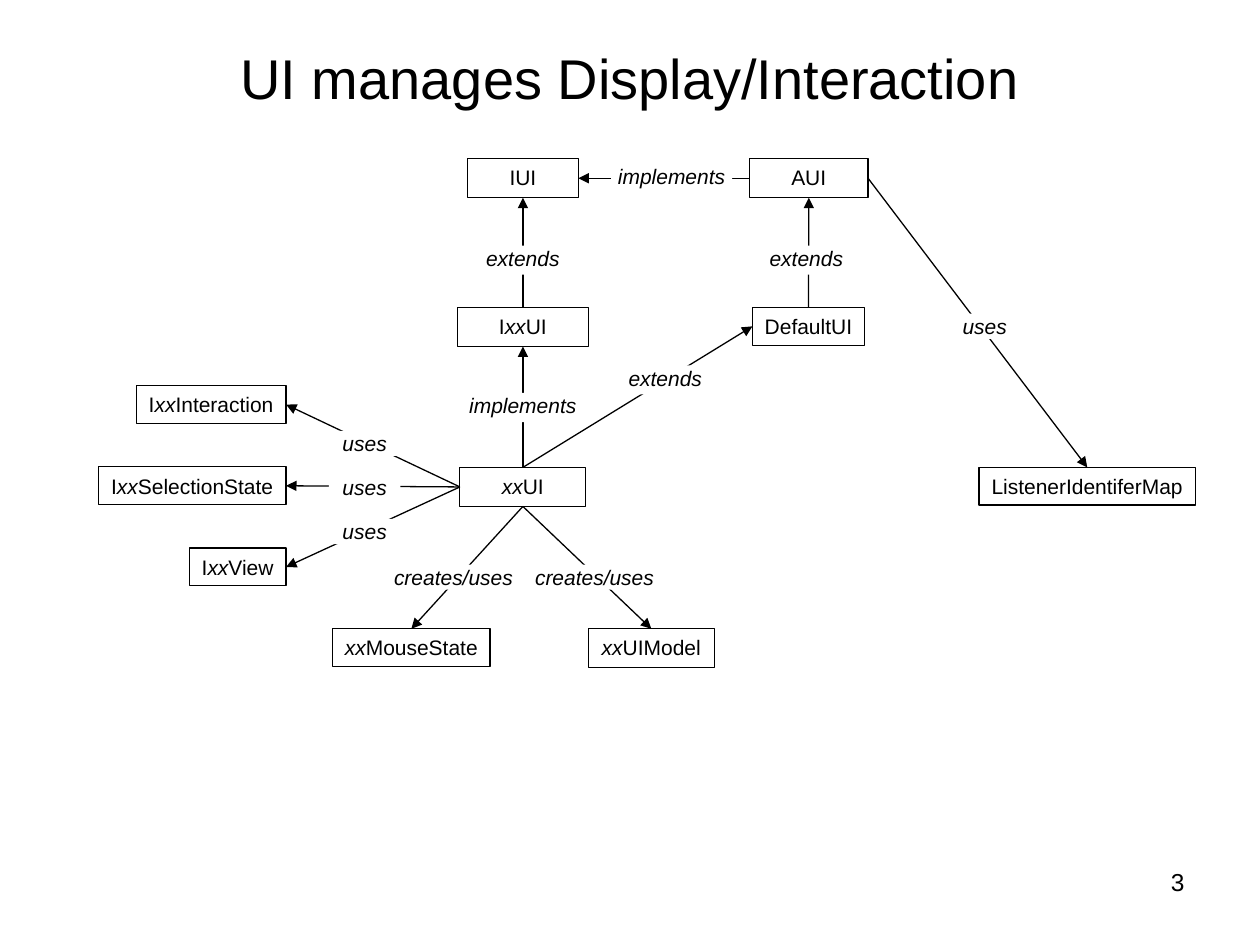
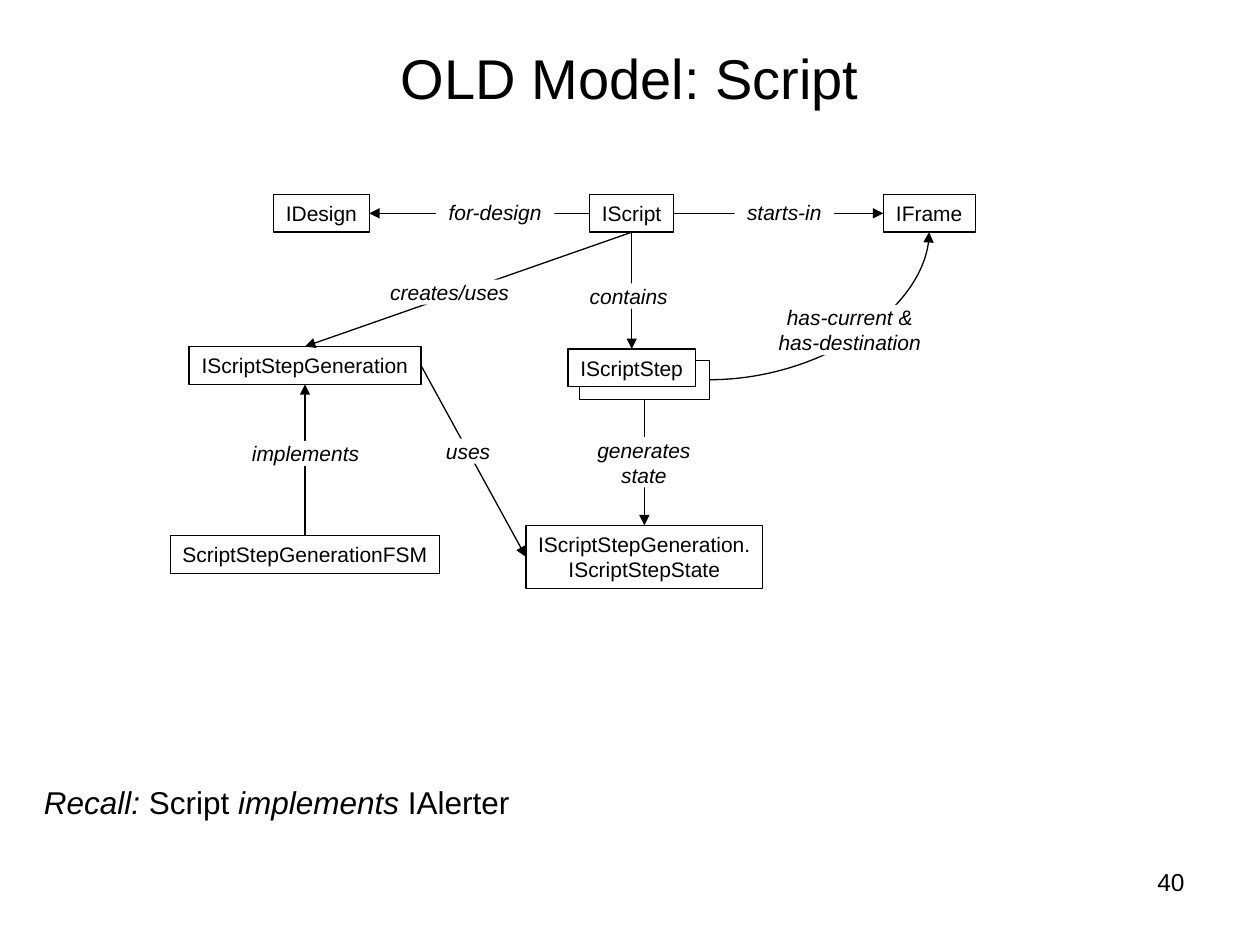
from pptx import Presentation
from pptx import util as u
from pptx.dml.color import RGBColor
from pptx.enum import shapes, text
from pptx.oxml.ns import qn
from lxml import etree

Pt = u.Pt
COLORS = {"ink": "000000", "paper": "FFFFFF"}
FONT = "Arial"
TOP, LEFT, BOTTOM, RIGHT = range(4)  # connection sites of a rectangle
LINE_H, PAD = 14.4, 3.6              # height of a text line, inner margin
TALL_BOX, TALL_LABEL = 22.3, 16.6
CENTER = text.PP_ALIGN.CENTER


def color(name):
    return RGBColor.from_string(COLORS[name])


def write(sp, content, size, align, pad=PAD, wrap=False,
          anchor=text.MSO_ANCHOR.TOP):
    """Fill a shape with text; *stars* enclose italics, newlines split paragraphs."""
    tf = sp.text_frame
    frame = {"margin_left": Pt(7.2), "margin_right": Pt(7.2),
             "margin_top": Pt(pad), "margin_bottom": Pt(pad),
             "word_wrap": wrap, "vertical_anchor": anchor,
             "auto_size": text.MSO_AUTO_SIZE.NONE}
    for name, value in frame.items():
        setattr(tf, name, value)
    for i, line in enumerate(content.split("\n")):
        p = tf.add_paragraph() if i else tf.paragraphs[0]
        p.alignment = align
        for j, part in enumerate(line.split("*")):
            if not part:
                continue
            r = p.add_run()
            r.text = part
            font = {"name": FONT, "size": Pt(size), "italic": j % 2 == 1}
            for name, value in font.items():
                setattr(r.font, name, value)
            r.font.color.rgb = color("ink")


def rect(s, cx, top, w, h):
    sp = s.shapes.add_shape(shapes.MSO_SHAPE.RECTANGLE,
                            Pt(cx - w / 2), Pt(top), Pt(w), Pt(h))
    sp.shadow.inherit = False
    sp.fill.solid()
    sp.fill.fore_color.rgb = color("paper")
    return sp


def ink_line(line):
    line.color.rgb = color("ink")
    line.width = Pt(0.75)


def box(s, content, cx, top, w, h=None):
    """Outlined class box, centred on cx."""
    sp = rect(s, cx, top, w, h or LINE_H * (content.count("\n") + 1) + 2 * PAD)
    ink_line(sp.line)
    if content:
        write(sp, content, 12, CENTER)
    return sp


def label(s, content, cx, top, w, h=None):
    """Italic relation name that interrupts the arrow beneath it."""
    lines = content.split("\n")
    sp = rect(s, cx, top, w, h or LINE_H * len(lines))
    sp.line.fill.background()
    write(sp, "\n".join(f"*{line}*" for line in lines), 12, CENTER, pad=0)


def arrow(s, start, start_site, end, end_site, curved=False):
    kind = shapes.MSO_CONNECTOR.CURVE if curved else shapes.MSO_CONNECTOR.STRAIGHT
    c = s.shapes.add_connector(kind, 0, 0, 0, 0)
    c.begin_connect(start, start_site)
    c.end_connect(end, end_site)
    ink_line(c.line)
    props = c.element.spPr
    if curved:
        props.find(qn("a:prstGeom")).set("prst", "curvedConnector2")
    etree.SubElement(props.find(qn("a:ln")), qn("a:tailEnd"), type="triangle")
    etree.SubElement(props, qn("a:effectLst"))


def textbox(s, content, x, y, w, h, size, align, wrap=False):
    sp = s.shapes.add_textbox(Pt(x), Pt(y), Pt(w), Pt(h))
    write(sp, content, size, align, wrap=wrap)


def new_slide(prs, title, number):
    """Slide with the shared title and page number."""
    s = prs.slides.add_slide(prs.slide_layouts[5])
    sp = s.shapes.title
    place = {"left": 36, "top": 21.6, "width": 648, "height": 44.6}
    for name, value in place.items():
        setattr(sp, name, Pt(value))
    write(sp, title, 32, CENTER, wrap=True, anchor=text.MSO_ANCHOR.MIDDLE)
    textbox(s, str(number), 558, 491.8, 126, 37.4, 14,
            text.PP_ALIGN.RIGHT, wrap=True)
    return s


def ui_slide(prs):
    s = new_slide(prs, "UI manages Display/Interaction", 3)
    axis = 298.8  # centre of the IUI column
    row1, row2, row3, row4 = 90.7, 175.7, 267.1, 359.3

    # Classes
    xx_ui = box(s, "*xx*UI", axis, row3, 72, TALL_BOX)
    ixx_ui = box(s, "I*xx*UI", axis, row2, 74.9, TALL_BOX)
    iui = box(s, "IUI", axis, row1, 63.4, TALL_BOX)
    aui = box(s, "AUI", 462.2, row1, 67.7, TALL_BOX)
    default_ui = box(s, "DefaultUI", 462, row2, 64.1)
    listener_map = box(s, "ListenerIdentiferMap", 621.3, row3, 123.8)
    mouse_state = box(s, "*xx*MouseState", 235.1, row4, 90)
    ui_model = box(s, "*xx*UIModel", 372.2, row4, 72, TALL_BOX)

    # Used interfaces, flush right, with their arrows
    used = [("Interaction", 85.7), ("SelectionState", 107.3), ("View", 55.4)]
    for i, (name, w) in enumerate(used):
        sp = box(s, f"I*xx*{name}", 163.5 - w / 2, 220.4 + 46.4 * i, w)
        arrow(s, xx_ui, LEFT, sp, RIGHT)

    # Arrows
    for link in [(xx_ui, TOP, ixx_ui, BOTTOM), (ixx_ui, TOP, iui, BOTTOM),
                 (aui, LEFT, iui, RIGHT), (default_ui, TOP, aui, BOTTOM),
                 (xx_ui, TOP, default_ui, LEFT), (aui, RIGHT, listener_map, TOP),
                 (xx_ui, BOTTOM, mouse_state, TOP), (xx_ui, BOTTOM, ui_model, TOP)]:
        arrow(s, *link)

    # Relation names
    for name, cx, top in [("implements", axis, 224.6), ("extends", axis, 140.4),
                          ("implements", 383.8, 93.6), ("extends", 460.8, 140.4),
                          ("extends", 380.2, 208.8)]:
        label(s, name, cx, top, 69.1, TALL_LABEL)
    for cx in (259.2, 339.8):
        label(s, "creates/uses", cx, 322.6, 82.1)
    for i in range(len(used)):
        label(s, "uses", 208.4, 246.2 + 25.2 * i, 41)
    label(s, "uses", 562.7, 179.3, 41)


def script_slide(prs):
    s = new_slide(prs, "OLD Model: Script", 40)
    row1 = 111.1
    left_axis, mid_axis, state_axis = 174.3, 361, 368.2

    # Classes; the empty box behind IScriptStep marks it as multiple
    steps = box(s, "", state_axis, 205.9, 74.2, TALL_BOX)
    script = box(s, "IScript", mid_axis, row1, 48.2)
    step = box(s, "IScriptStep", mid_axis, 199.4, 72.7)
    frame = box(s, "IFrame", 531, row1, 52.6)
    design = box(s, "IDesign", 183.7, row1, 54.7)
    state = box(s, "IScriptStepGeneration.\nIScriptStepState",
                state_axis, 300.2, 135.4)
    generation = box(s, "IScriptStepGeneration", left_axis, 198, 132.5)
    fsm = box(s, "ScriptStepGenerationFSM", left_axis, 306, 154.1)

    # Arrows
    for link in [(script, LEFT, design, RIGHT), (script, RIGHT, frame, LEFT),
                 (script, BOTTOM, step, TOP), (steps, BOTTOM, state, TOP),
                 (script, BOTTOM, generation, TOP), (fsm, TOP, generation, BOTTOM),
                 (generation, RIGHT, state, LEFT)]:
        arrow(s, *link)
    arrow(s, steps, RIGHT, frame, BOTTOM, curved=True)

    # Relation names
    for name, cx, top, w in [("for-design", 283, 113.8, 67.7),
                             ("starts-in", 448.2, 113.8, 56.9),
                             ("contains", 359.3, 162, 59),
                             ("has-current &\nhas-destination", 485.6, 174.2, 95.8),
                             ("generates\nstate", 368, 249.8, 67.7),
                             ("creates/uses", 257, 159.8, 82.1),
                             ("implements", 174.6, 252, 75.6),
                             ("uses", 267.5, 250.6, 39.6)]:
        label(s, name, cx, top, w)

    # Reminder
    textbox(s, "*Recall: *Script* implements *IAlerter", 18, 444.2, 280, 28.8,
            18, text.PP_ALIGN.LEFT)


def main():
    prs = Presentation()
    prs.slide_width, prs.slide_height = Pt(720), Pt(540)
    ui_slide(prs)
    script_slide(prs)
    prs.save("out.pptx")


if __name__ == "__main__":
    main()
